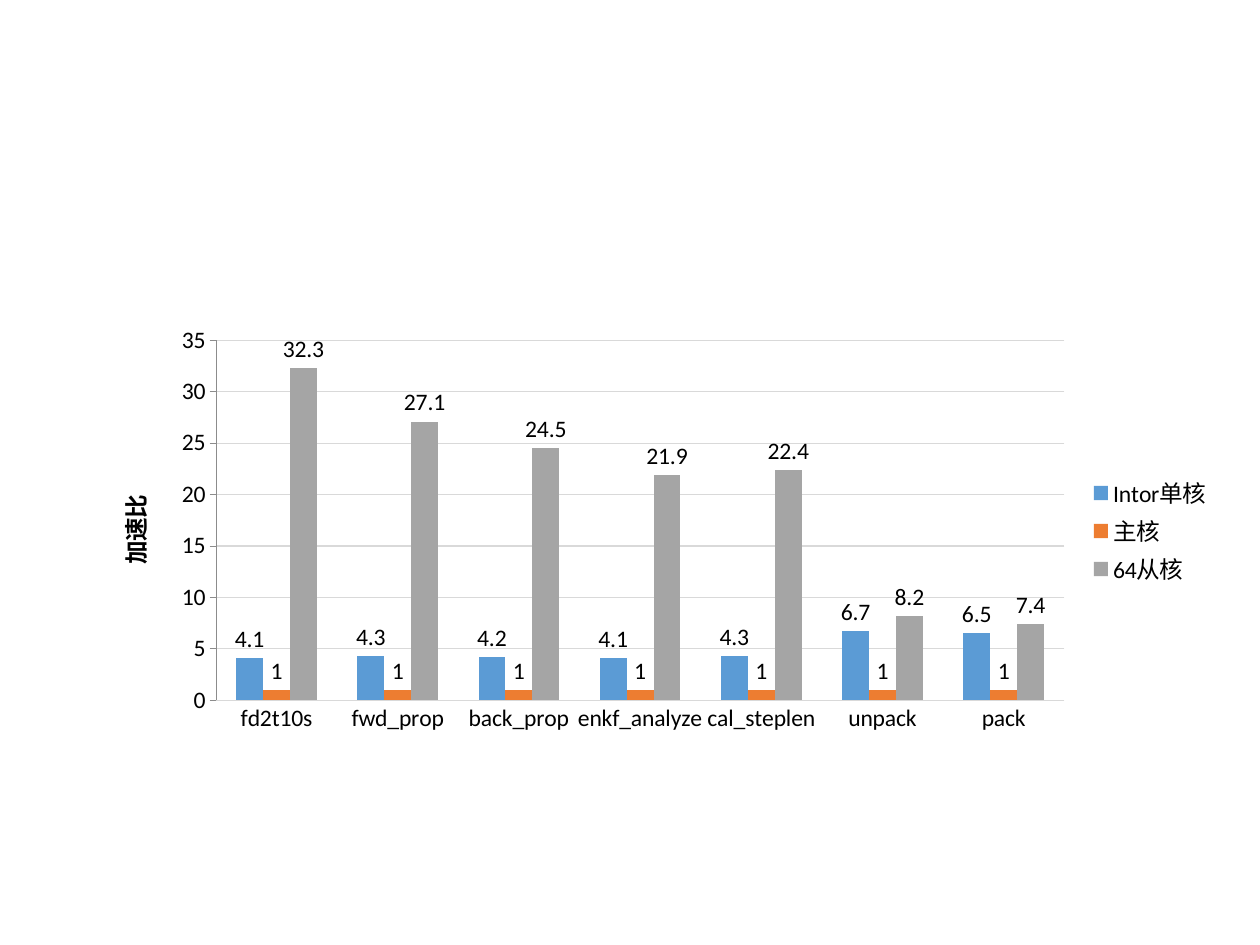
from dataclasses import dataclass

from lxml import etree
from pptx import Presentation
from pptx.chart.data import CategoryChartData
from pptx.dml.color import RGBColor
from pptx.enum import chart as kinds
from pptx.oxml import ns
from pptx.util import Pt

# Content
KERNELS = ["fd2t10s", "fwd_prop", "back_prop", "enkf_analyze",
           "cal_steplen", "unpack", "pack"]
SPEEDUPS = {
    "Intor单核": [4.1, 4.3, 4.2, 4.1, 4.3, 6.7, 6.5],
    "主核": [1] * len(KERNELS),
    "64从核": [32.3, 27.1, 24.5, 21.9, 22.4, 8.2, 7.4],
}
AXIS_TITLE = "加速比"


# Theme
@dataclass(frozen=True)
class Theme:
    font: str = "Calibri"
    size: float = 16
    ink: str = "000000"
    grid: str = "D9D9D9"
    axis: str = "8C8C8C"
    bars: tuple = ("5B9BD5", "ED7D31", "A5A5A5")


THEME = Theme()

# Geometry: page and chart in points, plot area as shares of the chart
PAGE = (852.48, 639.36)
CHART_BOX = (61.92, 216, 765.36, 286.56)
PLOT_AREA = {"x": 0.11, "y": 0.05, "w": 0.75, "h": 0.85}


def style_font(font, bold=False):
    font.name, font.size, font.bold = THEME.font, Pt(THEME.size), bold
    font.color.rgb = RGBColor.from_string(THEME.ink)


def style_line(line, color, width):
    line.color.rgb = RGBColor.from_string(color)
    line.width = Pt(width)


def write_title(axis, text, **font_format):
    """Put a title that reads upwards beside a value axis."""
    frame = axis.axis_title.text_frame
    frame.text = text
    style_font(frame.paragraphs[0].runs[0].font, **font_format)
    body = next(axis.axis_title.element.iter(ns.qn("a:bodyPr")))
    body.set("rot", "-5400000")
    body.set("vert", "horz")


def place_plot(chart, shares):
    """Fix the inner plot area inside the chart frame."""
    area = next(chart.element.iter(ns.qn("c:plotArea")))
    for old in area.findall(ns.qn("c:layout")):
        area.remove(old)
    layout = etree.Element(ns.qn("c:layout"))
    manual = etree.SubElement(layout, ns.qn("c:manualLayout"))
    settings = {"layoutTarget": "inner", "xMode": "edge", "yMode": "edge", **shares}
    for name, value in settings.items():
        etree.SubElement(manual, ns.qn(f"c:{name}")).set("val", str(value))
    area.insert(0, layout)


# Page
deck = Presentation()
deck.slide_width, deck.slide_height = map(Pt, PAGE)
page = deck.slides.add_slide(deck.slide_layouts[6])

# Chart
data = CategoryChartData()
data.categories = KERNELS
for name, values in SPEEDUPS.items():
    data.add_series(name, values)
chart = page.shapes.add_chart(
    kinds.XL_CHART_TYPE.COLUMN_CLUSTERED, *map(Pt, CHART_BOX), data).chart
chart.has_title = False
style_font(chart.font)
place_plot(chart, PLOT_AREA)

# Legend
chart.has_legend = True
chart.legend.position = kinds.XL_LEGEND_POSITION.RIGHT
chart.legend.include_in_layout = False
style_font(chart.legend.font)

# Axes
kernel_axis, speedup_axis = chart.category_axis, chart.value_axis
for axis, tick, color, width in (
        (kernel_axis, kinds.XL_TICK_MARK.NONE, THEME.grid, 0.75),
        (speedup_axis, kinds.XL_TICK_MARK.OUTSIDE, THEME.axis, 0.5)):
    axis.major_tick_mark = tick
    axis.minor_tick_mark = kinds.XL_TICK_MARK.NONE
    style_line(axis.format.line, color, width)
    style_font(axis.tick_labels.font)
speedup_axis.minimum_scale, speedup_axis.maximum_scale = 0, 35
speedup_axis.major_unit = 5
style_line(speedup_axis.major_gridlines.format.line, THEME.grid, 0.75)
write_title(speedup_axis, AXIS_TITLE, bold=True)

# Bars and their values
bars = chart.plots[0]
bars.gap_width, bars.overlap = 150, 0
bars.vary_by_categories = False
for series, color in zip(bars.series, THEME.bars):
    series.format.fill.solid()
    series.format.fill.fore_color.rgb = RGBColor.from_string(color)
    labels = series.data_labels
    labels.show_value = True
    labels.position = kinds.XL_LABEL_POSITION.OUTSIDE_END
    style_font(labels.font)

deck.save("out.pptx")
